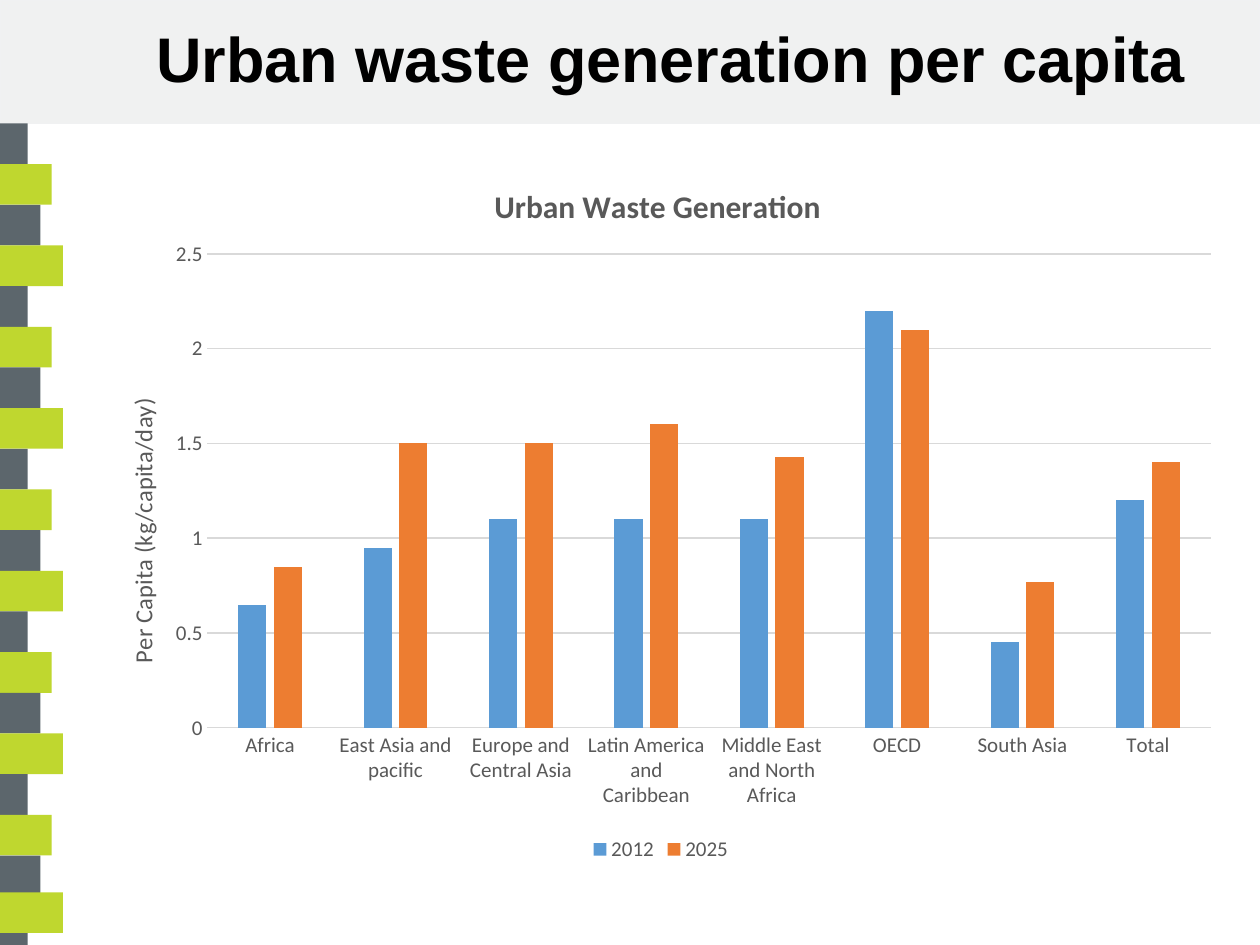
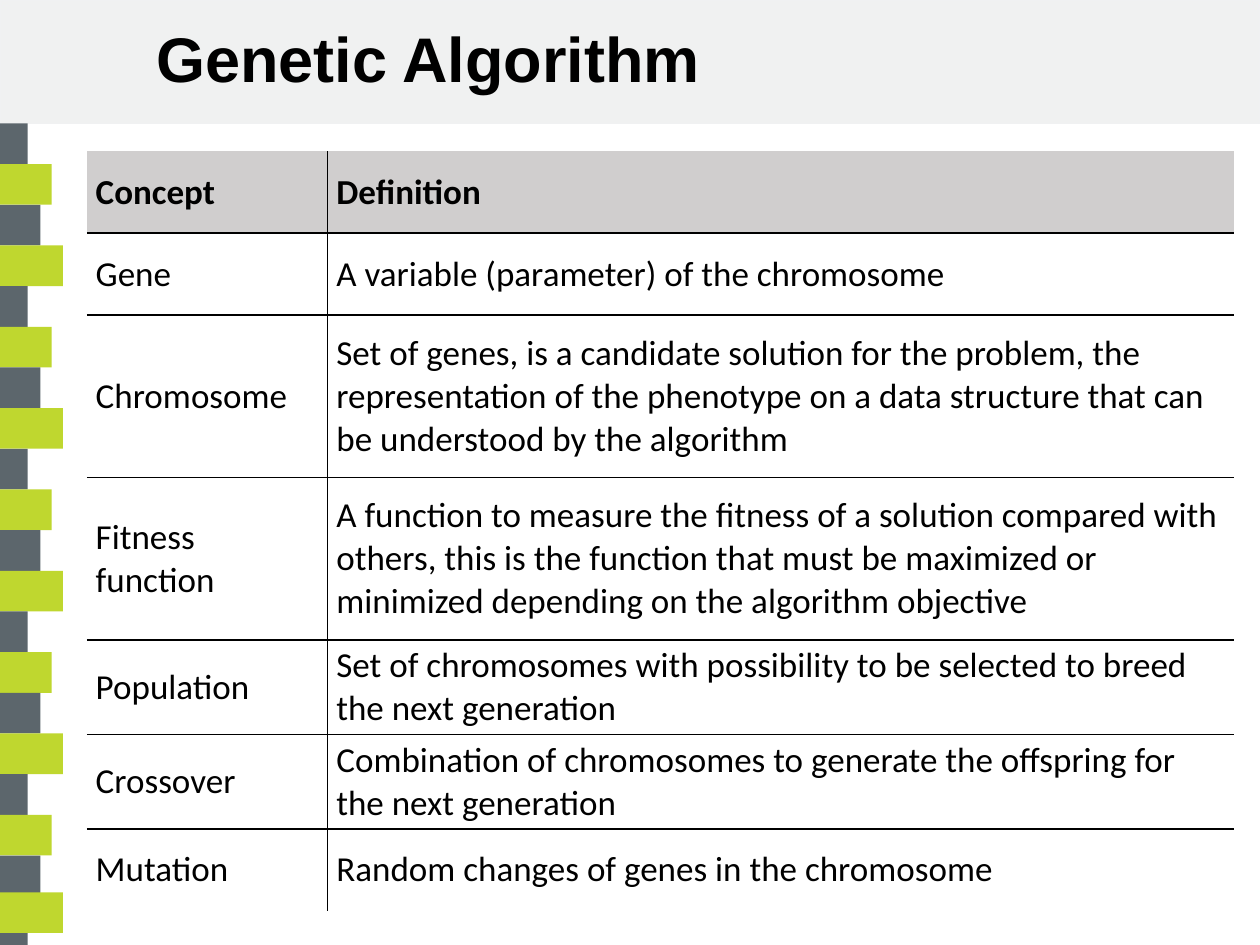
from dataclasses import dataclass
from typing import Any

from lxml.etree import SubElement
from pptx import Presentation
from pptx.chart.data import CategoryChartData
from pptx.dml.color import RGBColor
from pptx.enum.chart import XL_CHART_TYPE, XL_LEGEND_POSITION, XL_TICK_MARK
from pptx.enum.shapes import MSO_SHAPE
from pptx.enum.text import MSO_ANCHOR, MSO_AUTO_SIZE, PP_ALIGN
from pptx.oxml.ns import qn
from pptx.util import Inches, Pt

BLACK, CHART_GRAY, GRID_GRAY = "000000", "595959", "D9D9D9"
HEADER_FILL, BAND_FILL, BAND_LINE = "D0CECE", "F0F1F1", "F0F1F2"
STRIPE_COLORS = ("5C666C", "BFD72F")
STRIPE_WIDTHS = (0.22, 0.41, 0.32, 0.5)
STRIPE_COUNT, STRIPE_TOP = 21, 0.98
STRIPE_STEP = (6.79 - STRIPE_TOP) / 18
NO_STYLE_TABLE = "{2D5ABB26-0587-4C30-8999-92F81FD0307C}"

REGIONS = ["Africa", "East Asia and pacific", "Europe and Central Asia",
           "Latin America and Caribbean", "Middle East and North Africa",
           "OECD", "South Asia", "Total"]


@dataclass(frozen=True)
class Box:
    left: float
    top: float
    width: float
    height: float

    def lengths(self) -> tuple:
        return tuple(Inches(v) for v in (self.left, self.top, self.width, self.height))


@dataclass(frozen=True)
class WasteSeries:
    year: str
    values: tuple
    color: str


@dataclass(frozen=True)
class ConceptRow:
    concept: str
    definition: str
    height: float


WASTE = (
    WasteSeries("2012", (0.65, 0.95, 1.1, 1.1, 1.1, 2.2, 0.45, 1.2), "5B9BD5"),
    WasteSeries("2025", (0.85, 1.5, 1.5, 1.6, 1.43, 2.1, 0.77, 1.4), "ED7D31"),
)

CONCEPTS = (
    ConceptRow("Concept", "Definition", 0.65),
    ConceptRow("Gene", "A variable (parameter) of the chromosome", 0.65),
    ConceptRow("Chromosome", "Set of genes, is a candidate solution for the problem, "
               "the representation of the phenotype on a data structure that can be "
               "understood by the algorithm", 1.29),
    ConceptRow("Fitness function", "A function to measure the fitness of a solution "
               "compared with others, this is the function that must be maximized or "
               "minimized depending on the algorithm objective", 1.29),
    ConceptRow("Population", "Set of chromosomes with possibility to be selected to "
               "breed the next generation", 0.75),
    ConceptRow("Crossover", "Combination of chromosomes to generate the offspring for "
               "the next generation", 0.75),
    ConceptRow("Mutation", "Random changes of genes in the chromosome", 0.65),
)


def rgb(color: str) -> RGBColor:
    return RGBColor.from_string(color)


def set_attributes(target: Any, formats: dict) -> None:
    for name, value in formats.items():
        setattr(target, name, value)


def format_font(font: Any, name: str, size: float, color: str, bold: bool = False) -> None:
    set_attributes(font, {"name": name, "size": Pt(size), "bold": bold})
    font.color.rgb = rgb(color)


def add_rectangle(slide: Any, box: Box, fill: str, line: str | None = None) -> None:
    shape = slide.shapes.add_shape(MSO_SHAPE.RECTANGLE, *box.lengths())
    shape.shadow.inherit = False
    shape.fill.solid()
    shape.fill.fore_color.rgb = rgb(fill)
    if line:
        shape.line.color.rgb = rgb(line)
        shape.line.width = Pt(1)
    else:
        shape.line.fill.background()


def add_stripes(slide: Any) -> None:
    for index in range(STRIPE_COUNT):
        lift = 0.03 if index >= STRIPE_COUNT - 2 else 0
        top = STRIPE_TOP + index * STRIPE_STEP - lift
        height = min(STRIPE_STEP, 7.5 - top)
        width = STRIPE_WIDTHS[index % len(STRIPE_WIDTHS)]
        add_rectangle(slide, Box(0, top, width, height), STRIPE_COLORS[index % 2])


def add_titled_slide(presentation: Any, text: str) -> Any:
    slide = presentation.slides.add_slide(presentation.slide_layouts[5])
    add_rectangle(slide, Box(0, 0, 10, STRIPE_TOP), BAND_FILL, BAND_LINE)
    add_stripes(slide)
    title = slide.shapes.title
    slide.shapes._spTree.append(title._element)
    places = zip(("left", "top", "width", "height"), Box(1.14, 0.01, 8.66, 0.97).lengths())
    set_attributes(title, dict(places))
    title.text_frame.text = text
    set_attributes(title.text_frame, {"vertical_anchor": MSO_ANCHOR.MIDDLE,
                                      "auto_size": MSO_AUTO_SIZE.NONE, "word_wrap": True})
    paragraph = title.text_frame.paragraphs[0]
    set_attributes(paragraph, {"alignment": PP_ALIGN.LEFT, "line_spacing": 0.9})
    format_font(paragraph.runs[0].font, "Arial", 36, BLACK, True)
    return slide


def place_chart_part(element: Any, inner: bool = False, **fractions: float) -> None:
    layout = element.find(qn("c:layout"))
    if layout is None:
        layout = SubElement(element, qn("c:layout"))
        element.insert(0, layout)
    manual = SubElement(layout, qn("c:manualLayout"))
    if inner:
        SubElement(manual, qn("c:layoutTarget")).set("val", "inner")
    for name in ("xMode", "yMode"):
        SubElement(manual, qn(f"c:{name}")).set("val", "edge")
    for name, value in fractions.items():
        SubElement(manual, qn(f"c:{name}")).set("val", str(value))


def write_chart_title(title: Any, text: str, size: float, bold: bool,
                      x: float, y: float) -> None:
    title.text_frame.text = text
    format_font(title.text_frame.paragraphs[0].runs[0].font, "Calibri", size, CHART_GRAY, bold)
    place_chart_part(title._element, x=x, y=y)


def add_waste_chart(slide: Any) -> None:
    data = CategoryChartData()
    data.categories = REGIONS
    for series in WASTE:
        data.add_series(series.year, series.values)
    frame = slide.shapes.add_chart(XL_CHART_TYPE.COLUMN_CLUSTERED,
                                   *Box(0.69, 1.19, 9.11, 5.69).lengths(), data)
    chart = frame.chart
    format_font(chart.font, "Calibri", 12, CHART_GRAY)
    chart.has_title = True
    write_chart_title(chart.chart_title, "Urban Waste Generation", 18, True, 0.35, 0.04)
    chart.has_legend = True
    set_attributes(chart.legend, {"position": XL_LEGEND_POSITION.BOTTOM,
                                  "include_in_layout": False})
    format_font(chart.legend.font, "Calibri", 12, CHART_GRAY)
    plot = chart.plots[0]
    set_attributes(plot, {"gap_width": 219, "overlap": -27, "vary_by_categories": False})
    for bars, series in zip(plot.series, WASTE):
        bars.format.fill.solid()
        bars.format.fill.fore_color.rgb = rgb(series.color)
    value_axis, category_axis = chart.value_axis, chart.category_axis
    for axis in (value_axis, category_axis):
        set_attributes(axis, {"major_tick_mark": XL_TICK_MARK.NONE,
                              "minor_tick_mark": XL_TICK_MARK.NONE})
        format_font(axis.tick_labels.font, "Calibri", 12, CHART_GRAY)
    set_attributes(value_axis, {"minimum_scale": 0, "maximum_scale": 2.5, "major_unit": 0.5,
                                "has_major_gridlines": True, "has_title": True})
    for line in (value_axis.major_gridlines.format.line, category_axis.format.line):
        line.color.rgb = rgb(GRID_GRAY)
        line.width = Pt(0.75)
    value_axis.format.line.fill.background()
    write_chart_title(value_axis.axis_title, "Per Capita (kg/capita/day)", 14, False, 0.03, 0.34)
    body = value_axis.axis_title.text_frame._txBody.find(qn("a:bodyPr"))
    body.set("rot", "-5400000")
    body.set("vert", "horz")
    plot_area = chart._chartSpace.find(qn("c:chart")).find(qn("c:plotArea"))
    place_chart_part(plot_area, inner=True, x=0.105, y=0.145, w=0.874, h=0.661)


def add_cell_borders(cell: Any, sides: list[str]) -> None:
    properties = cell._tc.get_or_add_tcPr()
    for side in sides:
        line = SubElement(properties, qn(f"a:ln{side}"), w=str(Pt(1)))
        fill = SubElement(line, qn("a:solidFill"))
        SubElement(fill, qn("a:srgbClr"), val=BLACK)


def fill_cell(cell: Any, text: str, header: bool) -> None:
    cell.text = text
    set_attributes(cell, {"vertical_anchor": MSO_ANCHOR.MIDDLE,
                          "margin_left": Inches(0.07), "margin_right": Inches(0.07),
                          "margin_top": 0, "margin_bottom": 0})
    paragraph = cell.text_frame.paragraphs[0]
    set_attributes(paragraph, {"space_before": Pt(2), "space_after": Pt(2)})
    format_font(paragraph.runs[0].font, "Calibri", 20, BLACK, header)
    if header:
        cell.fill.solid()
        cell.fill.fore_color.rgb = rgb(HEADER_FILL)
    else:
        cell.fill.background()


def add_concept_table(slide: Any) -> None:
    frame = slide.shapes.add_table(len(CONCEPTS), 2, *Box(0.69, 1.2, 9.1, 6.01).lengths())
    table = frame.table
    table._tbl.tblPr.find(qn("a:tableStyleId")).text = NO_STYLE_TABLE
    set_attributes(table, {"first_row": False, "horz_banding": False})
    for column, width in zip(table.columns, (1.91, 7.19)):
        column.width = Inches(width)
    last_row = len(CONCEPTS) - 1
    for row_index, row in enumerate(CONCEPTS):
        table.rows[row_index].height = Inches(row.height)
        for column_index, text in enumerate((row.concept, row.definition)):
            cell = table.cell(row_index, column_index)
            sides = ["R"] if column_index == 0 else ["L"]
            sides += ["T"] if row_index > 0 else []
            sides += ["B"] if row_index < last_row else []
            add_cell_borders(cell, sides)
            fill_cell(cell, text, row_index == 0)


def main() -> None:
    """Build the waste chart slide and the genetic algorithm slide."""
    presentation = Presentation()
    presentation.slide_width, presentation.slide_height = Inches(10), Inches(7.5)
    add_waste_chart(add_titled_slide(presentation, "Urban waste generation per capita"))
    add_concept_table(add_titled_slide(presentation, "Genetic Algorithm"))
    presentation.save("out.pptx")


if __name__ == "__main__":
    main()
